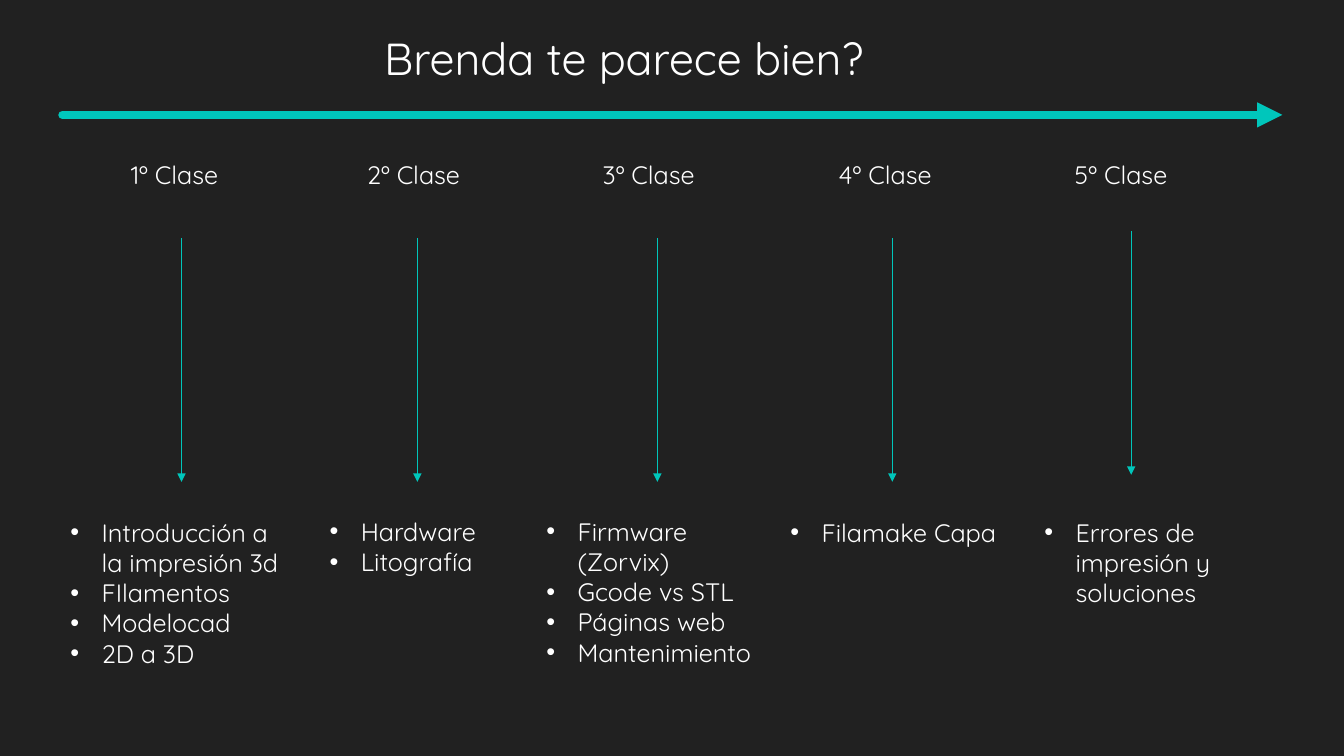
from dataclasses import dataclass

from pptx import Presentation
from pptx.dml.color import RGBColor
from pptx.enum.shapes import MSO_CONNECTOR
from pptx.enum.text import MSO_ANCHOR, MSO_AUTO_SIZE, PP_ALIGN
from pptx.oxml.ns import qn
from pptx.oxml.xmlchemy import OxmlElement
from pptx.shapes.base import BaseShape
from pptx.slide import Slide
from pptx.text.text import TextFrame
from pptx.util import Emu, Pt

PX = 9144  # 100 px to the inch
COLORS = {"background": "212121", "accent": "00C6BB", "text": "FFFFFF"}
FONT = "Quicksand"
BODY_SIZE = 18
TITLE_SIZE = 32
BULLET_INDENT = 31
ARROW_LENGTH = 242
LABEL_LEFT, LABEL_STEP = 120, 234
TOPICS_WIDTH = 243


@dataclass(frozen=True)
class Lesson:
    arrow_x: int
    arrow_top: int
    topics_left: int
    topics_top: int
    topics_height: int
    topics: tuple[str, ...]


LESSONS = (
    Lesson(180, 236, 60, 508, 162,
           ("Introducción a la impresión 3d", "FIlamentos", "Modelocad", "2D a 3D")),
    Lesson(414, 236, 317, 507, 71, ("Hardware", "Litografía")),
    Lesson(652, 236, 532, 507, 192,
           ("Firmware (Zorvix)", "Gcode vs STL", "Páginas web", "Mantenimiento")),
    Lesson(885, 236, 774, 508, 40, ("Filamake Capa",)),
    Lesson(1122, 229, 1026, 508, 101, ("Errores de impresión y soluciones",)),
)


def px(length: int) -> Emu:
    return Emu(length * PX)


def color(name: str) -> RGBColor:
    return RGBColor.from_string(COLORS[name])


def place(shape: BaseShape, left: int, top: int, width: int, height: int) -> None:
    shape.left, shape.top = px(left), px(top)
    shape.width, shape.height = px(width), px(height)


def add_arrow(slide: Slide, start: tuple[int, int], end: tuple[int, int],
              weight: float, cap: str = "flat") -> None:
    connector = slide.shapes.add_connector(
        MSO_CONNECTOR.STRAIGHT, *map(px, start), *map(px, end))
    connector.line.color.rgb = color("accent")
    connector.line.width = Pt(weight)
    properties = connector.element.spPr
    line = properties.find(qn("a:ln"))
    line.set("cap", cap)
    tail = OxmlElement("a:tailEnd")
    tail.set("type", "triangle")
    line.append(tail)
    properties.append(OxmlElement("a:effectLst"))


def write(frame: TextFrame, texts: tuple[str, ...], size: int,
          bulleted: bool = False) -> None:
    frame.word_wrap = True
    frame.auto_size = MSO_AUTO_SIZE.SHAPE_TO_FIT_TEXT
    frame.vertical_anchor = MSO_ANCHOR.TOP
    for index, text in enumerate(texts):
        paragraph = frame.add_paragraph() if index else frame.paragraphs[0]
        paragraph.alignment = PP_ALIGN.LEFT
        run = paragraph.add_run()
        run.text = text
        run.font.name = FONT
        run.font.size = Pt(size)
        run.font.color.rgb = color("text")
        if bulleted:
            properties = paragraph._p.get_or_add_pPr()
            properties.set("marL", str(px(BULLET_INDENT)))
            properties.set("indent", str(-px(BULLET_INDENT)))
            for tag, key, value in (("a:buFont", "typeface", "Arial"),
                                    ("a:buChar", "char", "•")):
                bullet = OxmlElement(tag)
                bullet.set(key, value)
                properties.append(bullet)


def add_text(slide: Slide, box: tuple[int, int, int, int],
             texts: tuple[str, ...], bulleted: bool = False) -> None:
    shape = slide.shapes.add_textbox(*map(px, box))
    write(shape.text_frame, texts, BODY_SIZE, bulleted)


def add_lesson(slide: Slide, index: int, lesson: Lesson) -> None:
    """Draw the label, arrow and topic list of one class."""
    add_text(slide, (LABEL_LEFT + index * LABEL_STEP, 153, 130, 40),
             (f"{index + 1}º Clase",))
    add_arrow(slide, (lesson.arrow_x, lesson.arrow_top),
              (lesson.arrow_x, lesson.arrow_top + ARROW_LENGTH), 0.75)
    add_text(slide, (lesson.topics_left, lesson.topics_top,
                     TOPICS_WIDTH, lesson.topics_height), lesson.topics, bulleted=True)


def main() -> None:
    presentation = Presentation()
    presentation.slide_width, presentation.slide_height = px(1333), px(750)
    title_only = presentation.slide_layouts.get_by_name("Title Only")
    slide = presentation.slides.add_slide(title_only)
    slide.background.fill.solid()
    slide.background.fill.fore_color.rgb = color("background")

    title = slide.shapes.title
    place(title, 371, 25, 591, 64)
    write(title.text_frame, ("Brenda te parece bien?",), TITLE_SIZE)

    add_arrow(slide, (62, 114), (1272, 114), 6, cap="rnd")
    for index, lesson in enumerate(LESSONS):
        add_lesson(slide, index, lesson)
    presentation.save("out.pptx")


if __name__ == "__main__":
    main()
